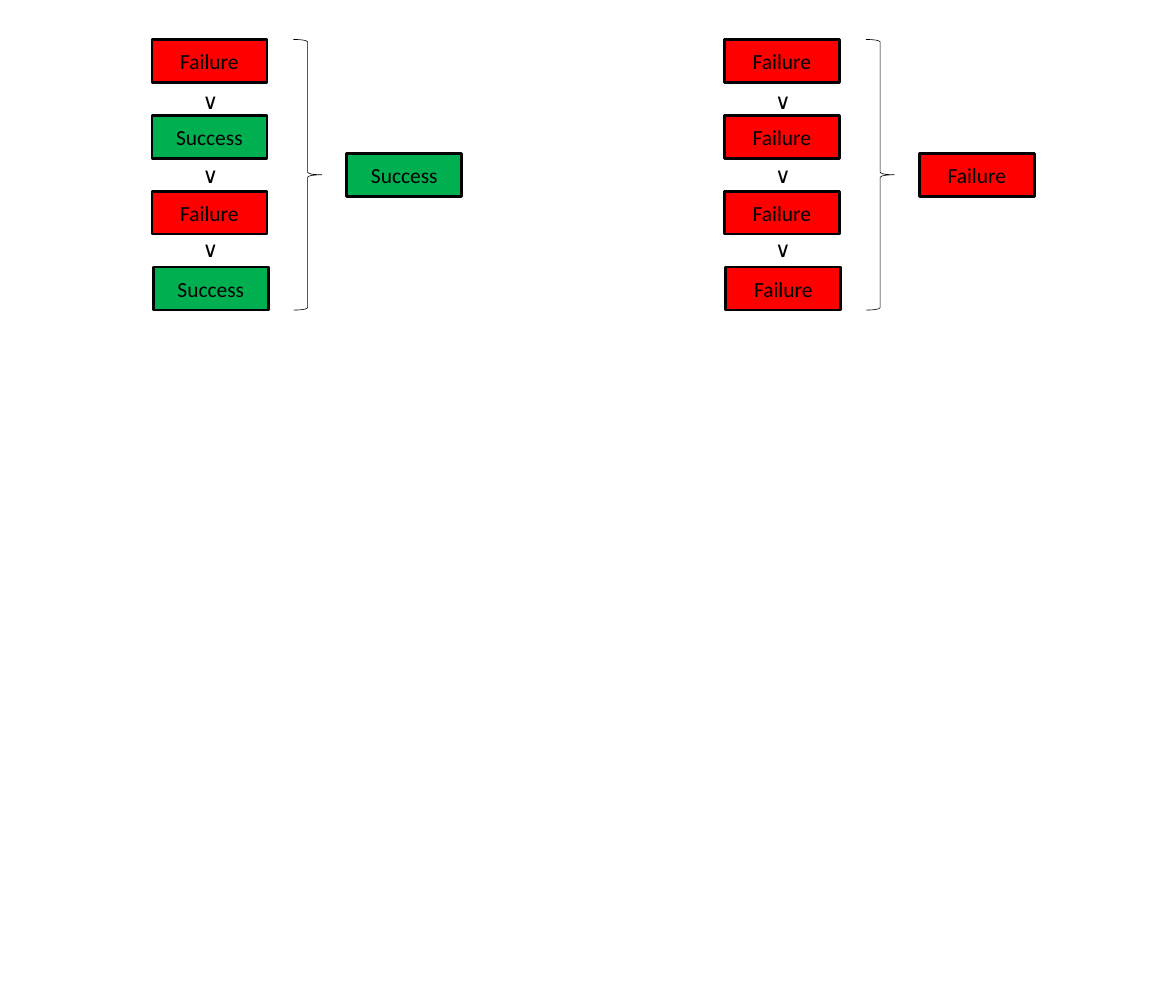
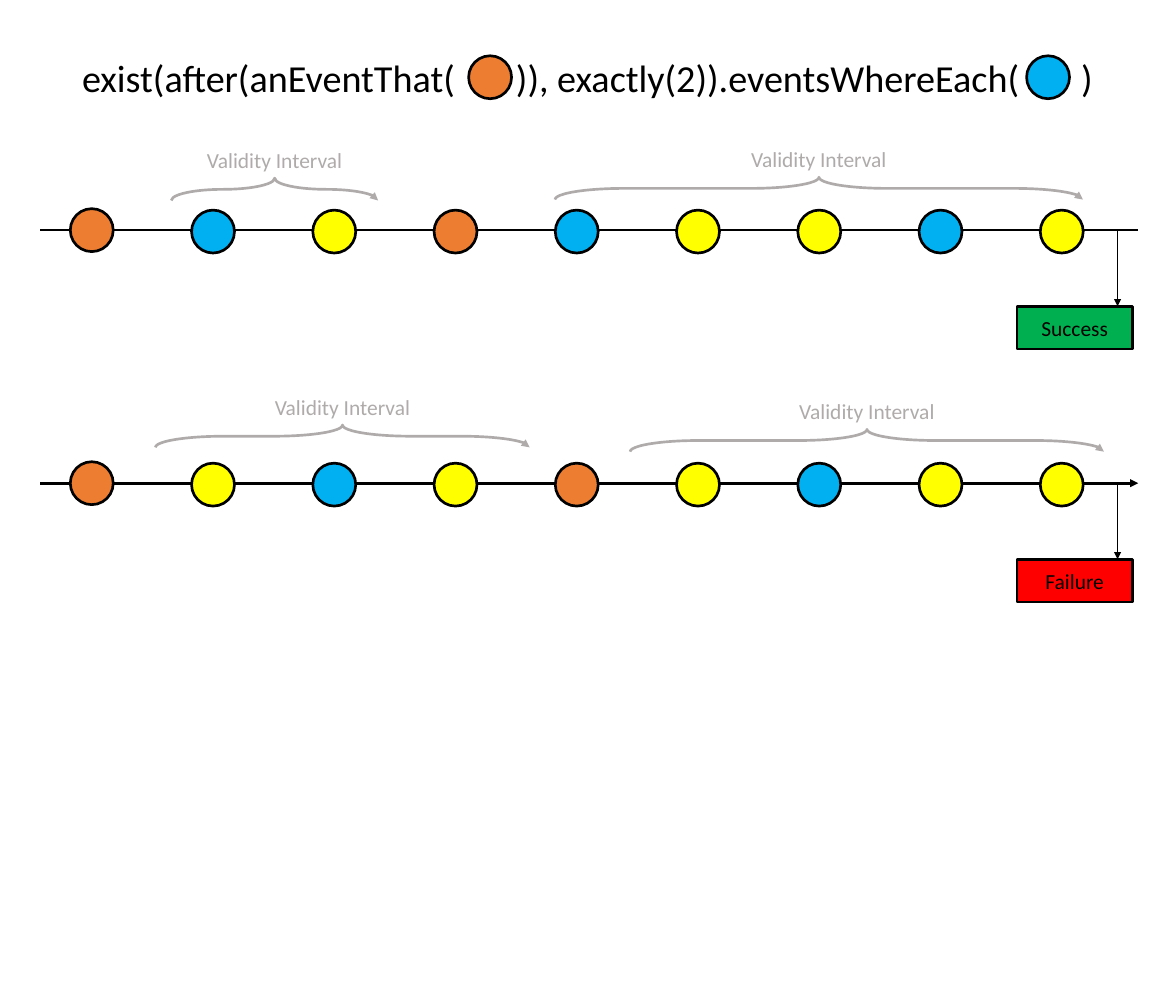
from pptx import Presentation
from pptx.dml.color import RGBColor
from pptx.enum.shapes import MSO_CONNECTOR, MSO_SHAPE
from pptx.enum.text import MSO_ANCHOR, PP_ALIGN
from pptx.oxml.ns import qn
from pptx.util import Pt
from lxml.etree import SubElement

COLOURS = {
    "Success": "00B050",
    "Failure": "FF0000",
    "trigger": "ED7D31",
    "match": "00B0F0",
    "other": "FFFF00",
    "interval": "AFABAB",
    "ink": "000000",
    "paper": "FFFFFF",
}
FONT = "Calibri"
BODY_SIZE, TITLE_SIZE = 18, 32
THIN, THICK = 0.5, 2.25
RESULT_WIDTH, RESULT_HEIGHT = 96.5, 36
EVENT_SIZE = 36


def colour(name):
    """Return the named colour of the palette."""
    return RGBColor.from_string(COLOURS[name])


class Sketch:
    """Hold the deck, its style and the page being drawn."""

    def __init__(self, width, height):
        """Start an empty deck of the given size."""
        self.deck = Presentation()
        self.deck.slide_width, self.deck.slide_height = Pt(width), Pt(height)
        self.page = None

    def new_page(self):
        """Add a blank page and make it current."""
        self.page = self.deck.slides.add_slide(self.deck.slide_layouts[6])

    def set_text(self, shape, text, size=BODY_SIZE, ink="ink", align=PP_ALIGN.CENTER):
        """Put one formatted paragraph into a shape and return it."""
        para = shape.text_frame.paragraphs[0]
        para.text = text
        para.alignment = align
        for span in para.runs:
            span.font.name = FONT
            span.font.size = Pt(size)
            span.font.color.rgb = colour(ink)
        return para

    def shape(self, kind, left, top, width, height, fill=None, ink="ink", weight=THICK):
        """Draw a preset shape, unfilled when no fill is named."""
        box = self.page.shapes.add_shape(kind, Pt(left), Pt(top), Pt(width), Pt(height))
        box.shadow.inherit = False
        if fill:
            box.fill.solid()
            box.fill.fore_color.rgb = colour(fill)
        else:
            box.fill.background()
        box.line.color.rgb = colour(ink)
        box.line.width = Pt(weight)
        box.text_frame.vertical_anchor = MSO_ANCHOR.MIDDLE
        return box

    def arrowhead(self, item):
        """End the outline of a shape or connector in a triangle."""
        outline = item.element.find(".//" + qn("a:ln"))
        SubElement(outline, qn("a:tailEnd"), type="triangle")

    def line(self, x1, y1, x2, y2, weight, arrow=False):
        """Draw a straight line, with an arrowhead if asked."""
        link = self.page.shapes.add_connector(
            MSO_CONNECTOR.STRAIGHT, Pt(x1), Pt(y1), Pt(x2), Pt(y2))
        link.line.color.rgb = colour("ink")
        link.line.width = Pt(weight)
        SubElement(link.element.spPr, qn("a:effectLst"))
        if arrow:
            self.arrowhead(link)

    def label(self, text, left, top, width, ink="ink"):
        """Place a centred one-line label."""
        box = self.page.shapes.add_textbox(Pt(left), Pt(top), Pt(width), Pt(29))
        box.text_frame.word_wrap = False
        self.set_text(box, text, ink=ink)

    def result(self, outcome, left, top):
        """Draw a result box in the colour of its outcome."""
        box = self.shape(MSO_SHAPE.RECTANGLE, left, top, RESULT_WIDTH, RESULT_HEIGHT, outcome)
        self.set_text(box, outcome)

    def event(self, kind, left, top):
        """Draw an event circle."""
        self.shape(MSO_SHAPE.OVAL, left, top, EVENT_SIZE, EVENT_SIZE, kind)

    def disjunction(self, left, outcomes, total):
        """Stack outcomes joined by 'or' and brace them to their total."""
        top, step = 33.1, 63.65
        last = len(outcomes) - 1
        for row, outcome in enumerate(outcomes):
            nudge = 1.2 if row == last else 0
            self.result(outcome, left + nudge, top + row * step)
        for row in range(last):
            self.label("∨", left + 26.2, 70.6 + row * 61.8, 46)
        height = last * step + RESULT_HEIGHT
        self.shape(MSO_SHAPE.RIGHT_BRACE, left + 118.8, top, 23.8, height, weight=THIN)
        self.result(total, left + 163.5, top + (height - RESULT_HEIGHT) / 2)

    def title(self, text, tabs):
        """Place the heading, leaving gaps for circles at tab stops."""
        box = self.shape(MSO_SHAPE.RECTANGLE, 33.8, 20.2, 920.9, 88.6, "paper", "paper", 1.5)
        box.text_frame.margin_left = Pt(35)
        box.text_frame.margin_right = 0
        para = self.set_text(box, text, TITLE_SIZE, align=PP_ALIGN.LEFT)
        stops = SubElement(para._p.get_or_add_pPr(), qn("a:tabLst"))
        for stop in tabs:
            SubElement(stops, qn("a:tab"), pos=str(int(Pt(stop))), algn="l")

    def interval(self, centre, middle, length):
        """Draw a labelled brace with its point upwards."""
        depth = 18.7
        brace = self.shape(MSO_SHAPE.LEFT_BRACE, centre - depth / 2, middle - length / 2,
                           depth, length, ink="interval")
        brace.rotation = 90
        brace.adjustments[0] = 3.07
        self.arrowhead(brace)
        self.label("Validity Interval", centre - 65, middle - 39, 130, "interval")

    def timeline(self, axis, events, intervals, outcome, arrow=False):
        """Draw an axis with its events, validity intervals and result."""
        self.line(33.8, axis, 954.7, axis, THICK, arrow)
        for column, kind in enumerate(events):
            rise = 16.8 if column else 18
            self.event(kind, 59 + column * 101.7, axis - rise)
        for centre, rise, length in intervals:
            self.interval(centre, axis - rise, length)
        self.result(outcome, 853.2, axis + 63.8)
        self.line(937.4, axis, 937.4, axis + 63.8, THIN, arrow=True)


sketch = Sketch(986.4, 835.2)

sketch.new_page()
sketch.disjunction(127.4, ["Failure", "Success"] * 2, "Success")
sketch.disjunction(607.6, ["Failure"] * 4, "Failure")

sketch.new_page()
sketch.title("exist(after(anEventThat(\t)), exactly(2)).eventsWhereEach(\t)", [364, 838])
sketch.event("trigger", 393.1, 46.8)
sketch.event("match", 861.1, 46.8)
sketch.timeline(
    193,
    ["trigger", "match", "other", "trigger", "match", "other", "other", "match", "other"],
    [(230.4, 34.2, 173.5), (686.9, 35, 442.8)],
    "Success")
sketch.timeline(
    405.2,
    ["trigger", "other", "match", "other", "trigger", "other", "match", "other", "other"],
    [(287.3, 39.4, 313.9), (727.2, 35.8, 397.4)],
    "Failure", arrow=True)

sketch.deck.save("out.pptx")
